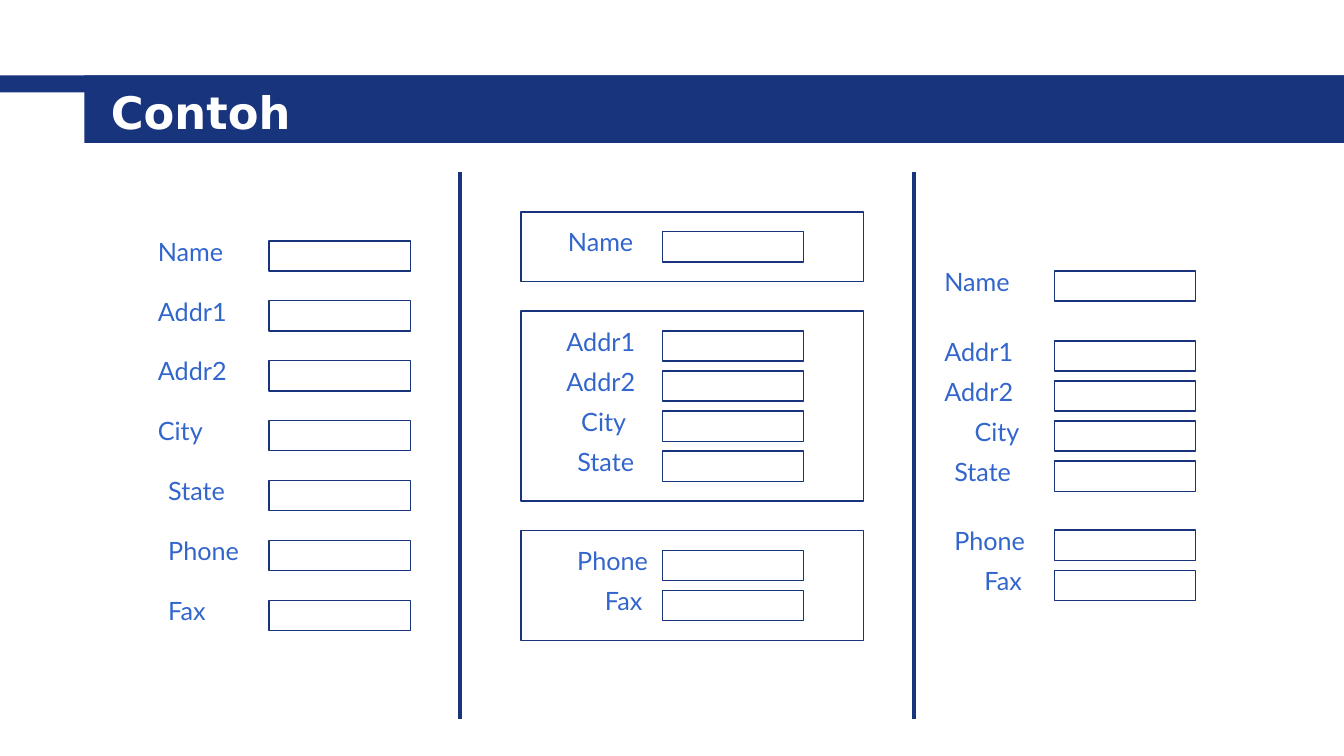
from lxml import etree
from pptx import Presentation
from pptx.dml.color import RGBColor
from pptx.enum.shapes import MSO_CONNECTOR, MSO_SHAPE
from pptx.enum.text import MSO_ANCHOR, PP_ALIGN
from pptx.oxml.ns import qn
from pptx.util import Cm, Pt

RECT = MSO_SHAPE.RECTANGLE
STRAIGHT = MSO_CONNECTOR.STRAIGHT
MIDDLE = MSO_ANCHOR.MIDDLE
LEFT, RIGHT = PP_ALIGN.LEFT, PP_ALIGN.RIGHT
NAVY, BLUE, WHITE = "17347D", "3366CC", "FFFFFF"
FIELD_W, FIELD_H = 3.56, 0.76
ROW_STEP = 1.01
FRAME_PAD = 0.5


def rgb(value):
    return RGBColor.from_string(value)


def add_rect(x, y, w, h, fill=None, line=None):
    sp = s.shapes.add_shape(RECT, Cm(x), Cm(y), Cm(w), Cm(h))
    sp.shadow.inherit = False
    if fill:
        sp.fill.solid()
        sp.fill.fore_color.rgb = rgb(fill)
    else:
        sp.fill.background()
    if line:
        sp.line.color.rgb = rgb(line)
        sp.line.width = Pt(1)
    else:
        sp.line.fill.background()
    return sp


prs = Presentation()
prs.slide_width, prs.slide_height = Cm(33.87), Cm(19.05)
s = prs.slides.add_slide(prs.slide_layouts[5])

title = s.shapes.title
title.left, title.top, title.width, title.height = Cm(2.54), Cm(2.03), Cm(30.2), Cm(1.57)
title.text_frame.text = "Contoh"
title.text_frame.vertical_anchor = MIDDLE
p = title.text_frame.paragraphs[0]
p.alignment = LEFT
p.font.name, p.font.size, p.font.bold = "DejaVu Sans", Pt(32), True
p.font.color.rgb = rgb(WHITE)

for x, w, h in [(0, 33.87, 0.43), (2.13, 31.74, 1.7)]:
    bar = add_rect(x, 1.9, w, h, fill=NAVY)
    title._element.addprevious(bar._element)

labels = ["Name", "Addr1", "Addr2", "City", "State", "Phone", "Fax"]
label_widths = [2.57, 2.62, 2.62, 1.88, 2.34, 2.69, 1.78]
groups = [1, 4, 2]

grouped_tops = []
for starts in [(5.84, 8.34, 13.87), (6.83, 8.59, 13.36)]:
    grouped_tops.append([top + i * ROW_STEP for top, n in zip(starts, groups) for i in range(n)])
even_tops = [6.07 + i * 1.51 for i in range(len(labels))]

forms = [
    (6.78, even_tops, [3.73] * 4 + [3.99] * 3, LEFT),
    (16.69, grouped_tops[0], [13.64, 13.64, 13.64, 14.15, 13.89, 13.89, 14.66], RIGHT),
    (26.57, grouped_tops[1], [23.55, 23.55, 23.55, 24.31, 23.8, 23.8, 24.56], LEFT),
]
for field_x, tops, label_lefts, align in forms:
    for text, w, x, top in zip(labels, label_widths, label_lefts, tops):
        add_rect(field_x, top, FIELD_W, FIELD_H, fill=WHITE, line=NAVY)
        tf = s.shapes.add_textbox(Cm(x), Cm(top - 0.25), Cm(w), Cm(1.22)).text_frame
        tf.word_wrap = True
        p = tf.paragraphs[0]
        p.text = text
        p.alignment = align
        p.font.name, p.font.size = "Lato", Pt(18)
        p.font.color.rgb = rgb(BLUE)

first = 0
for n in groups:
    top = grouped_tops[0][first] - FRAME_PAD
    height = (n - 1) * ROW_STEP + FIELD_H + 2 * FRAME_PAD
    add_rect(13.13, top, 8.64, height, line=NAVY)
    first += n

for x in (11.6, 23.04):
    divider = s.shapes.add_connector(STRAIGHT, Cm(x), Cm(4.33), Cm(x), Cm(18.13))
    divider.line.color.rgb = rgb(NAVY)
    divider.line.width = Pt(3)
    etree.SubElement(divider._element.spPr, qn("a:effectLst"))

prs.save("out.pptx")
